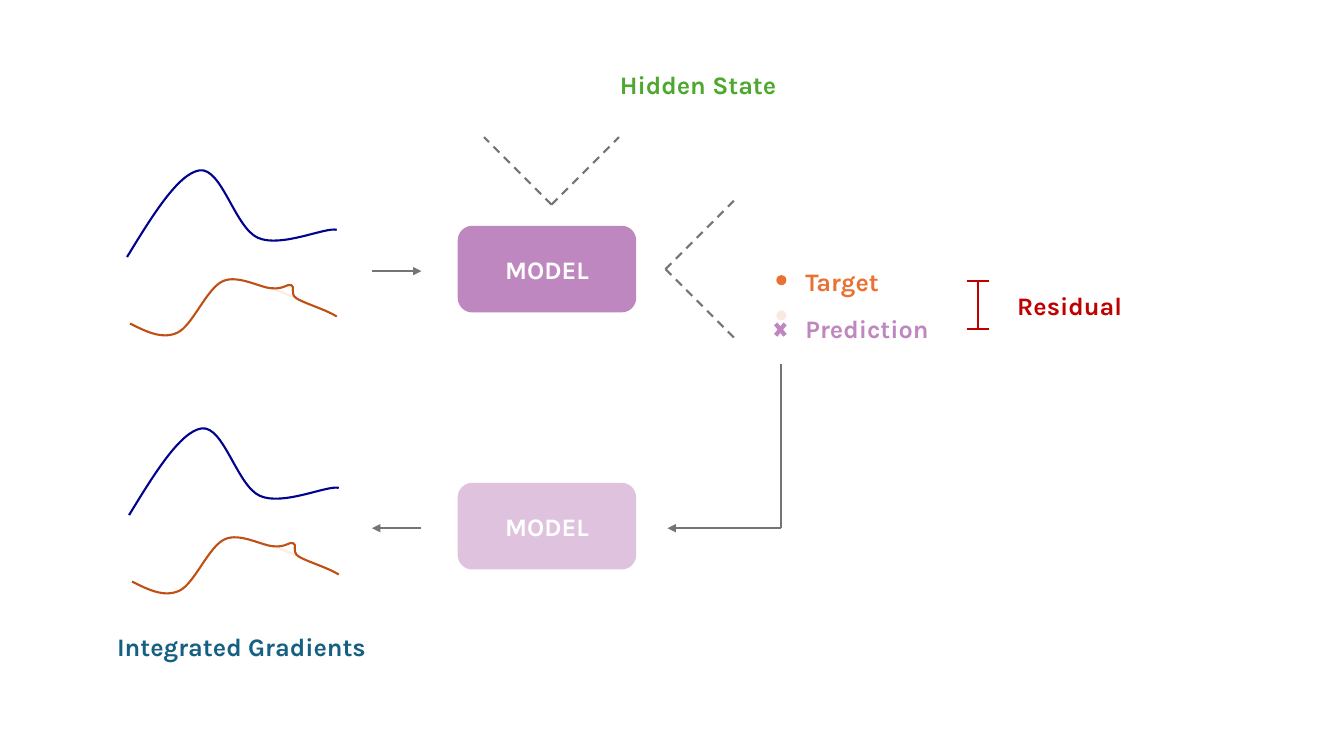
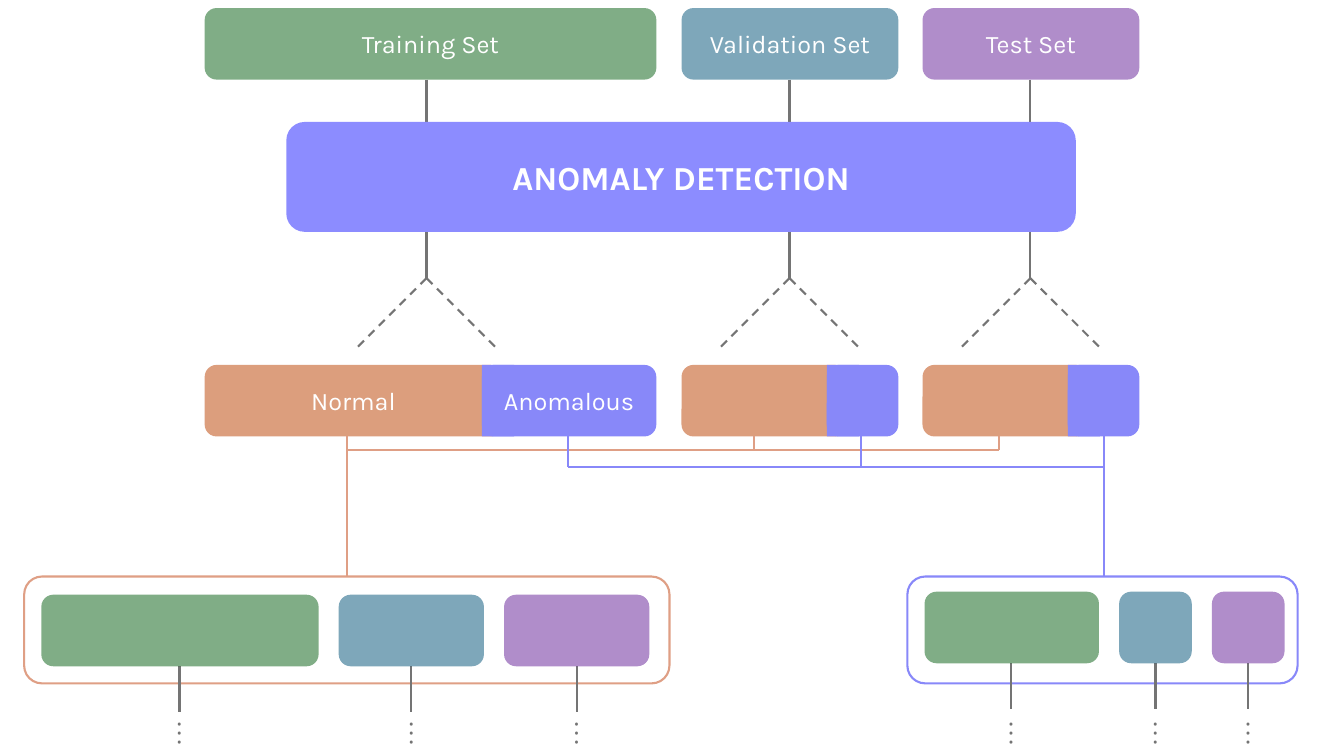
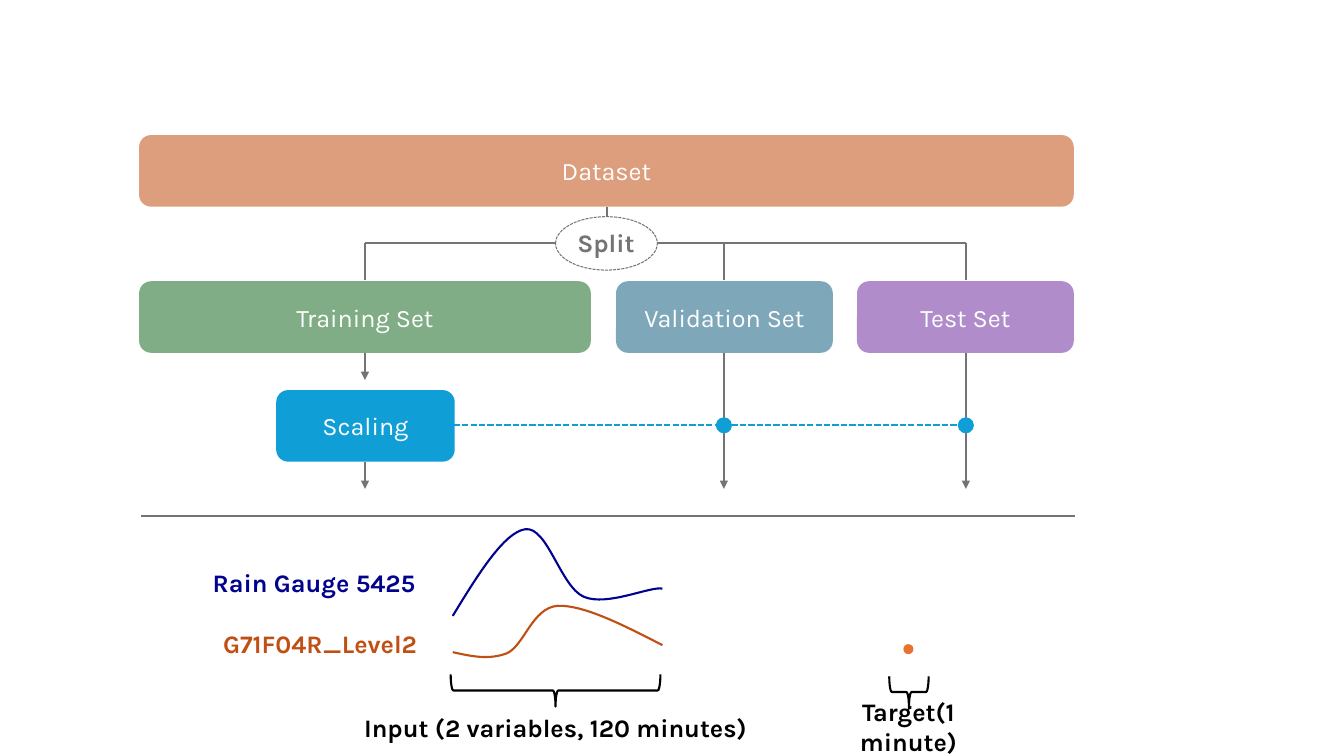
from dataclasses import dataclass

from pptx import Presentation
from pptx.dml.color import RGBColor
from pptx.enum.dml import MSO_LINE
from pptx.enum.shapes import MSO_CONNECTOR, MSO_SHAPE
from pptx.enum.text import MSO_ANCHOR, MSO_AUTO_SIZE, PP_ALIGN
from pptx.oxml.ns import qn
from pptx.oxml.xmlchemy import OxmlElement
from pptx.slide import Slide
from pptx.util import Pt

PX = 9144  # EMU per px: 100 px to the inch
FONT = "Karla"

ROUND, RECT, OVAL = MSO_SHAPE.ROUNDED_RECTANGLE, MSO_SHAPE.RECTANGLE, MSO_SHAPE.OVAL
CROSS, BRACE = MSO_SHAPE.MATH_MULTIPLY, MSO_SHAPE.LEFT_BRACE
DASH, FINE_DASH = MSO_LINE.DASH, MSO_LINE.SQUARE_DOT
STRAIGHT = MSO_CONNECTOR.STRAIGHT
LEFT, CENTER = PP_ALIGN.LEFT, PP_ALIGN.CENTER
TOP, MIDDLE = MSO_ANCHOR.TOP, MSO_ANCHOR.MIDDLE

WHITE = RGBColor(0xFF, 0xFF, 0xFF)
BLACK = RGBColor(0x00, 0x00, 0x00)
GREY = RGBColor(0x74, 0x74, 0x74)
GREEN = RGBColor(0x19, 0x6B, 0x24)
LEAF = RGBColor(0x4E, 0xA7, 0x2E)
TEAL = RGBColor(0x15, 0x60, 0x82)
PURPLE = RGBColor(0x70, 0x30, 0xA0)
MAUVE = RGBColor(0xBF, 0x87, 0xBF)
RUST = RGBColor(0xC0, 0x4F, 0x14)
SALMON = RGBColor(0xDF, 0x9F, 0x85)
ORANGE = RGBColor(0xE9, 0x71, 0x32)
PEACH = RGBColor(0xFE, 0xEB, 0xE2)
VIOLET = RGBColor(0x88, 0x88, 0xF9)
BANNER = RGBColor(0x8C, 0x8C, 0xFF)
NAVY = RGBColor(0x01, 0x02, 0x8D)
RED = RGBColor(0xC0, 0x00, 0x00)
SKY = RGBColor(0x0F, 0x9E, 0xD5)

SOFT = 55  # opacity of the tinted boxes, in percent
BAR_H = 71
REACH = 71  # run of each fork arm
UP, DOWN, RIGHT = ((-1, -1), (1, -1)), ((-1, 1), (1, 1)), ((1, -1), (1, 1))

# Signal outlines: cubic Bezier points relative to the start
RAIN = [(25, -41), (51, -83), (72, -86), (94, -89), (107, -29), (130, -19),
        (153, -9), (197, -30), (208, -27)]
LEVEL_SPIKE = [(16, 8), (32, 16), (47, 9), (62, 2), (76, -35), (92, -42),
               (107, -49), (130, -35), (141, -35), (153, -34), (156, -40), (160, -38),
               (164, -37), (158, -30), (165, -25), (173, -20), (194, -14), (205, -7)]
LEVEL_SMOOTH = [(18, 4), (36, 8), (54, 1), (71, -7), (79, -44), (104, -46),
                (130, -47), (169, -27), (208, -7)]


@dataclass
class Box:
    x: int
    y: int
    w: int
    h: int
    fill: RGBColor | None = None
    text: str = ""
    alpha: int = 100
    kind: MSO_SHAPE = ROUND
    bold: bool = False
    size: int = 18
    line: RGBColor | None = None
    line_pt: float = 1.5
    dash: MSO_LINE | None = None
    turn: int = 0


@dataclass
class Label:
    x: int
    y: int
    w: int
    text: str
    color: RGBColor
    align: PP_ALIGN = CENTER
    h: int = 40
    size: int = 18
    anchor: MSO_ANCHOR = MIDDLE
    turn: int = 0


@dataclass
class Wire:
    x1: int
    y1: int
    x2: int
    y2: int
    color: RGBColor = GREY
    dash: MSO_LINE | None = None
    arrow: bool = False


@dataclass
class DataSet:
    name: str
    color: RGBColor
    offset: int
    w: int


SETS = [
    DataSet("Training Set", GREEN, 0, 448),
    DataSet("Validation Set", TEAL, 473, 215),
    DataSet("Test Set", PURPLE, 712, 215),
]


# Shared drawing functions
def put_text(tf, text: str, size: int, color: RGBColor, bold: bool, align: PP_ALIGN) -> None:
    p = tf.paragraphs[0]
    p.text = text
    p.alignment = align
    p.font.name, p.font.size, p.font.bold = FONT, Pt(size), bold
    p.font.color.rgb = color


def draw_box(s: Slide, b: Box) -> None:
    sp = s.shapes.add_shape(b.kind, b.x * PX, b.y * PX, b.w * PX, b.h * PX)
    sp.shadow.inherit = False
    sp.rotation = b.turn
    if b.fill is None:
        sp.fill.background()
    else:
        sp.fill.solid()
        sp.fill.fore_color.rgb = b.fill
        if b.alpha < 100:
            alpha = OxmlElement("a:alpha")
            alpha.set("val", str(b.alpha * 1000))
            sp.element.spPr.find(qn("a:solidFill"))[0].append(alpha)
    if b.line is None:
        sp.line.fill.background()
    else:
        sp.line.color.rgb = b.line
        sp.line.width = Pt(b.line_pt)
        if b.dash:
            sp.line.dash_style = b.dash
    if b.text:
        put_text(sp.text_frame, b.text, b.size, WHITE, b.bold, CENTER)


def draw_label(s: Slide, t: Label) -> None:
    sp = s.shapes.add_textbox(t.x * PX, t.y * PX, t.w * PX, t.h * PX)
    sp.rotation = t.turn
    tf = sp.text_frame
    tf.word_wrap = True
    tf.auto_size = MSO_AUTO_SIZE.SHAPE_TO_FIT_TEXT
    tf.vertical_anchor = t.anchor
    put_text(tf, t.text, t.size, t.color, True, t.align)


def draw_wire(s: Slide, w: Wire) -> None:
    sp = s.shapes.add_connector(STRAIGHT, w.x1 * PX, w.y1 * PX, w.x2 * PX, w.y2 * PX)
    sp.line.color.rgb = w.color
    sp.line.width = Pt(1.5)
    if w.dash:
        sp.line.dash_style = w.dash
    if w.arrow:
        tail = OxmlElement("a:tailEnd")
        tail.set("type", "triangle")
        sp.line._get_or_add_ln().append(tail)
    sp.element.spPr.append(OxmlElement("a:effectLst"))


def draw_all(s: Slide, parts: list) -> None:
    draw = {Box: draw_box, Label: draw_label, Wire: draw_wire}
    for part in parts:
        draw[type(part)](s, part)


def draw_fork(s: Slide, x: int, y: int, arms: tuple, reach: int = REACH) -> None:
    for dx, dy in arms:
        draw_wire(s, Wire(x, y, x + dx * reach, y + dy * reach, dash=DASH))


def draw_curve(s: Slide, x: int, y: int, points: list, color: RGBColor) -> None:
    fb = s.shapes.build_freeform(x, y, scale=PX)
    fb.add_line_segments([(x + dx, y + dy) for dx, dy in points], close=False)
    sp = fb.convert_to_shape()
    sp.shadow.inherit = False
    sp.fill.background()
    sp.line.color.rgb = color
    sp.line.width = Pt(1.5)
    # Every three straight segments become one cubic curve
    segments = list(sp.element.iter(qn("a:lnTo")))
    for i in range(0, len(segments), 3):
        cubic = OxmlElement("a:cubicBezTo")
        segments[i].addprevious(cubic)
        for seg in segments[i:i + 3]:
            cubic.append(seg[0])
            seg.getparent().remove(seg)


def draw_sets(s: Slide, x: int, y: int) -> None:
    for d in SETS:
        draw_box(s, Box(x + d.offset, y, d.w, BAR_H, d.color, d.name, SOFT))


# Slide 1: model and attribution
def draw_signals(s: Slide, x: int, y: int) -> None:
    lx, ly = x + 3, y + 66
    draw_wire(s, Wire(lx + 141, ly - 35, lx + 165, ly - 25, PEACH))
    draw_curve(s, x, y, RAIN, NAVY)
    draw_curve(s, lx, ly, LEVEL_SPIKE, RUST)


def model_slide(s: Slide) -> None:
    draw_signals(s, 126, 255)
    draw_signals(s, 128, 511)
    draw_fork(s, 660, 267, RIGHT)
    draw_fork(s, 547, 203, UP, 67)
    draw_all(s, [
        Box(454, 224, 177, 86, MAUVE, "MODEL", bold=True),
        Box(454, 479, 177, 86, MAUVE, "MODEL", 50, bold=True),
        # Target and prediction marks
        Box(765, 316, 18, 22, MAUVE, kind=CROSS),
        Box(770, 273, 10, 10, ORANGE, kind=OVAL),
        Box(770, 308, 10, 10, ORANGE, alpha=15, kind=OVAL),
        Label(789, 259, 208, "Target", ORANGE, LEFT),
        Label(789, 306, 208, "Prediction", MAUVE, LEFT),
        # Residual bracket
        Wire(970, 279, 970, 326, RED),
        Wire(959, 279, 981, 279, RED),
        Wire(959, 326, 981, 326, RED),
        Label(999, 283, 208, "Residual", RED, LEFT),
        Label(605, 64, 208, "Hidden State", LEAF, LEFT),
        Label(74, 621, 331, "Integrated Gradients", TEAL),
        # Flow
        Wire(369, 269, 418, 269, arrow=True),
        Wire(775, 361, 775, 524),
        Wire(775, 524, 662, 524, arrow=True),
        Wire(418, 524, 369, 524, arrow=True),
    ])


# Slide 2: splitting by anomaly
def draw_split(s: Slide, x: int, cut: int, right: int, names: tuple = ("", "")) -> None:
    y, overlap = 362, 20
    draw_all(s, [
        Box(x, y, cut - x + overlap, BAR_H, RUST, names[0], SOFT),
        Box(cut, y, 32, BAR_H, VIOLET, kind=RECT),
        Box(cut, y, right - cut, BAR_H, VIOLET, names[1]),
    ])


def draw_group(s: Slide, x: int, y: int, widths: list) -> None:
    for d, w in zip(SETS, widths):
        mid = x + w // 2
        draw_all(s, [
            Wire(mid, y + BAR_H, mid, y + 116),
            Box(x, y, w, BAR_H, d.color, alpha=SOFT),
            Label(mid - 35, 727, 75, "· · ·", GREY, LEFT, 34, 14, turn=90),
        ])
        x += w + 20


def anomaly_slide(s: Slide) -> None:
    draw_sets(s, 203, 8)
    for x in (423, 783, 1022):
        draw_wire(s, Wire(x, 79, x, 276))
        draw_fork(s, x, 276, DOWN)
    draw_box(s, Box(284, 121, 783, 109, BANNER, "ANOMALY DETECTION", bold=True, size=24))
    draw_split(s, 203, 478, 651, ("Normal", "Anomalous"))
    draw_split(s, 676, 820, 891)
    draw_split(s, 915, 1059, 1130)
    draw_all(s, [
        # Normal bus
        Wire(344, 433, 344, 571, SALMON),
        Wire(344, 446, 991, 446, SALMON),
        Wire(748, 433, 748, 446, SALMON),
        Wire(991, 433, 991, 446, SALMON),
        # Anomalous bus
        Wire(563, 433, 563, 463, VIOLET),
        Wire(854, 433, 854, 463, VIOLET),
        Wire(1095, 433, 1095, 571, VIOLET),
        Wire(563, 463, 1095, 463, VIOLET),
        Box(24, 572, 640, 106, line=SALMON),
        Box(900, 572, 387, 106, line=VIOLET),
    ])
    draw_group(s, 41, 590, [275, 144, 144])
    draw_group(s, 917, 587, [173, 72, 72])


# Slide 3: dataset preparation
def dataset_slide(s: Slide) -> None:
    train, valid, test = 362, 718, 958
    draw_box(s, Box(138, 134, 927, BAR_H, RUST, "Dataset", SOFT))
    draw_sets(s, 138, 279)
    draw_wire(s, Wire(train, 241, test, 241))
    for x in (train, valid, test):
        draw_wire(s, Wire(x, 241, x, 278))
    draw_all(s, [
        Wire(602, 205, 602, 243),
        Box(551, 215, 101, 53, WHITE, kind=OVAL, line=GREY, line_pt=0.75, dash=FINE_DASH),
        Label(537, 221, 128, "Split", GREY, anchor=TOP),
        # Scaling
        Box(274, 387, 177, BAR_H, SKY, "Scaling"),
        Wire(train, 350, train, 377, arrow=True),
        Wire(train, 458, train, 485, arrow=True),
        Wire(450, 422, 957, 422, SKY, FINE_DASH),
    ])
    for x in (valid, test):
        draw_wire(s, Wire(x, 350, x, 485, arrow=True))
        draw_box(s, Box(x - 8, 414, 16, 16, SKY, kind=OVAL))
    # Signals and windows
    draw_curve(s, 449, 611, RAIN, NAVY)
    draw_curve(s, 449, 647, LEVEL_SMOOTH, RUST)
    draw_all(s, [
        Wire(140, 512, 1066, 512),
        Label(198, 558, 227, "Rain Gauge 5425", NAVY),
        Label(210, 618, 215, "G71F04R_Level2", RUST),
        Box(535, 581, 32, 208, kind=BRACE, line=BLACK, turn=270),
        Label(331, 702, 440, "Input (2 variables, 120 minutes)", BLACK),
        Box(896, 639, 10, 10, ORANGE, kind=OVAL),
        Box(886, 667, 31, 39, kind=BRACE, line=BLACK, turn=270),
        Label(797, 701, 208, "Target(1 minute)", BLACK),
    ])


def main() -> None:
    prs = Presentation()
    prs.slide_width, prs.slide_height = 1333 * PX, 750 * PX
    for build in (model_slide, anomaly_slide, dataset_slide):
        build(prs.slides.add_slide(prs.slide_layouts[6]))
    prs.save("out.pptx")


if __name__ == "__main__":
    main()
